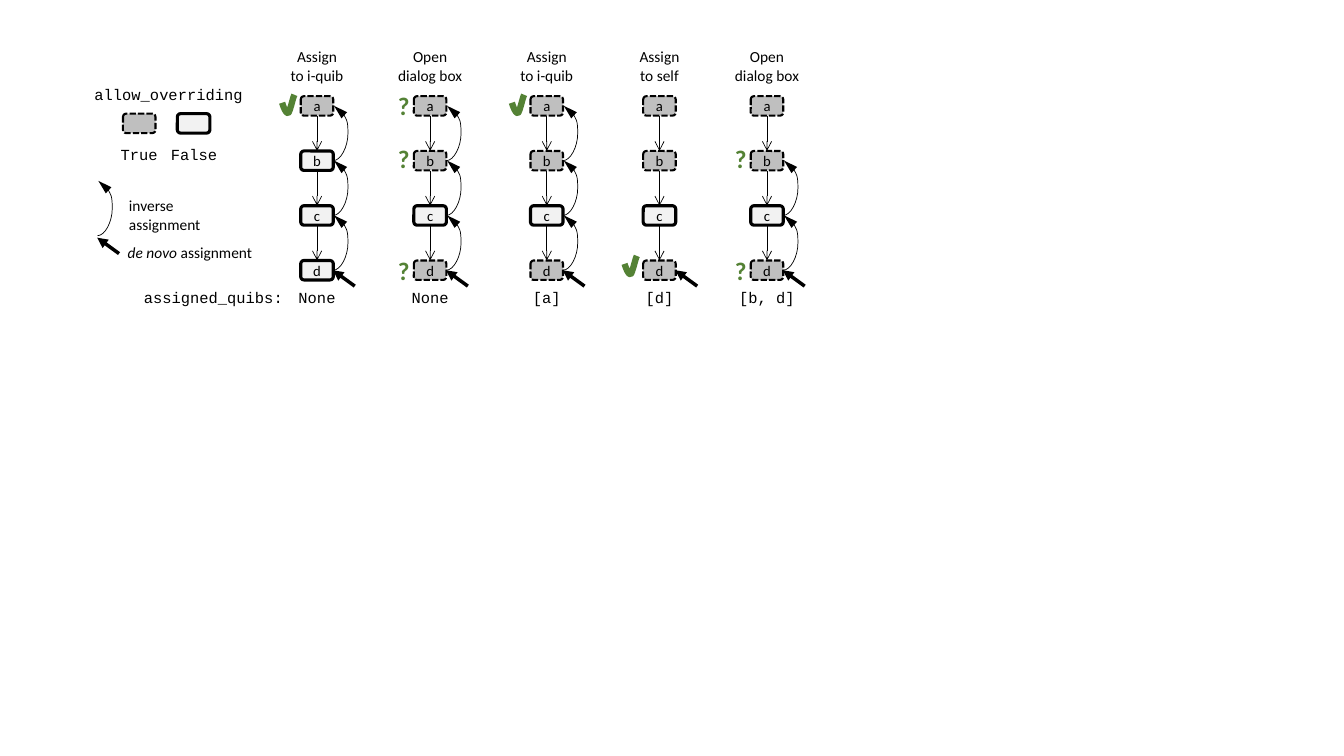
"""Draw five quib chains showing where an assignment ends up, with a legend."""
from pptx import Presentation
from pptx import util as u
from pptx.dml.color import RGBColor
from pptx.enum import dml, shapes, text
from pptx.oxml import parse_xml
from pptx.oxml.ns import nsdecls, qn

Cm, Pt, color = u.Cm, u.Pt, RGBColor.from_string
BLACK, GREEN, GREY, PALE = "000000", "548235", "BFBFBF", "F2F2F2"


def write(lines, x, y, w=2.2, h=0.74, font="Calibri", size=11, fill=BLACK, bold=False,
          align=text.PP_ALIGN.CENTER, lead="", shape=None):
    """Write lines into a shape, or into a new text box at x, y."""
    s = shape or slide.shapes.add_textbox(Cm(x), Cm(y), Cm(w), Cm(h))
    tf = s.text_frame
    tf.word_wrap = shape is not None
    if shape:
        tf.margin_left = tf.margin_right = 0
        tf.vertical_anchor = text.MSO_ANCHOR.MIDDLE
    for i, line in enumerate(lines.split("\n")):
        p = tf.paragraphs[0] if i == 0 else tf.add_paragraph()
        p.alignment = align
        for part in filter(None, (lead, line)):
            r = p.add_run()
            r.text = part
            r.font.name, r.font.size, r.font.bold = font, Pt(size), bold
            r.font.italic = part == lead
            r.font.color.rgb = color(fill)


def arrow(x1, y1, x2, y2, width=0.5, head="triangle", length="med", curved=False):
    """Draw a black arrow, bulging to the right when curved."""
    kind = shapes.MSO_CONNECTOR.CURVE if curved else shapes.MSO_CONNECTOR.STRAIGHT
    s = slide.shapes.add_connector(kind, Cm(x1), Cm(y1), Cm(x2), Cm(y2))
    s.line.color.rgb, s.line.width = color(BLACK), Pt(width)
    spPr = s._element.spPr
    spPr.find(qn("a:ln")).append(
        parse_xml(f'<a:tailEnd {nsdecls("a")} type="{head}" len="{length}"/>'))
    spPr.append(parse_xml(f'<a:effectLst {nsdecls("a")}/>'))
    if curved:
        spPr.find(qn("a:prstGeom")).get_or_add_avLst().append(
            parse_xml(f'<a:gd {nsdecls("a")} name="adj1" fmla="val 1850000"/>'))


prs = Presentation()
prs.slide_width, prs.slide_height = Cm(33.87), Cm(19.05)
slide = prs.slides.add_slide(prs.slide_layouts[6])

rows = [2.67 + 1.38 * i for i in range(4)]
box_w, box_h = 0.82, 0.49
title_w, label_w = 2.4, 4.4
columns = [
    (7.99, "Assign\nto i-quib", "bcd", 0, "None", "check", [2.62]),
    (10.84, "Open\ndialog box", "c", 0, "None", "?", [2.67, 3.99, 6.81]),
    (13.78, "Assign\nto i-quib", "c", 0, "[a]", "check", [2.62]),
    (16.62, "Assign\nto self", "c", 3, "[d]", "check", [6.68]),
    (19.33, "Open\ndialog box", "c", 1, "[b, d]", "?", [3.99, 6.81]),
]
boxes = [(3.51, 3.11, "", False), (4.88, 3.11, "", True)]
labels = [("allow_overriding", 4.25, 2.03), ("True", 3.51, 3.53),
          ("False", 4.89, 3.53), ("assigned_quibs:", 5.38, 7.14)]
curves = [(2.46, 4.56)]
de_novo = [(2.45, 5.99)]
checks = []

for x, title, locked, reached, assigned, mark, mark_ys in columns:
    write(title, x - title_w / 2, 1.07, title_w, 1.19)
    labels.append((assigned, x, 7.14))
    boxes += [(x, y, name, name in locked) for name, y in zip("abcd", rows)]
    curves += [(x + 0.41, y) for y in rows[reached:3]]
    de_novo.append((x + 0.4, rows[3]))
    for y in mark_ys:
        if mark == "?":
            write("?", x - 1.06, y - 0.51, 0.81, 1.02, size=18, fill=GREEN, bold=True,
                  align=text.PP_ALIGN.LEFT)
        else:
            checks.append((x - 0.88, y - 0.23))

for x, y, name, locked in boxes:
    s = slide.shapes.add_shape(shapes.MSO_SHAPE.ROUNDED_RECTANGLE, Cm(x - box_w / 2),
                               Cm(y - box_h / 2), Cm(box_w), Cm(box_h))
    s.shadow.inherit = False
    s.fill.solid()
    s.fill.fore_color.rgb = color(PALE if locked else GREY)
    s.line.color.rgb, s.line.width = color(BLACK), Pt(2.25 if locked else 1.5)
    if not locked:
        s.line.dash_style = dml.MSO_LINE.SQUARE_DOT
    if name:
        write(name, x, y, size=10.5, shape=s)

check_curves = [[(0, 0.2), (0.05, 0.35), (0.1, 0.46), (0.15, 0.46)],
                [(0.15, 0.46), (0.19, 0.46), (0.27, 0.08), (0.31, 0)]]
steps = [i / 8 for i in range(1, 9)]
for x, y in checks:
    points = [tuple(Cm(o + (1 - t) ** 3 * a + 3 * (1 - t) ** 2 * t * b
                       + 3 * (1 - t) * t ** 2 * c + t ** 3 * d)
                    for o, a, b, c, d in zip((x, y), *curve))
              for curve in check_curves for t in steps]
    outline = slide.shapes.build_freeform(Cm(x), Cm(y + 0.2))
    outline.add_line_segments(points, close=False)
    s = outline.convert_to_shape()
    s.shadow.inherit = False
    s.fill.background()
    s.line.color.rgb, s.line.width = color(GREEN), Pt(4.5)

for column in columns:
    for upper, lower in zip(rows, rows[1:]):
        arrow(column[0], upper + 0.25, column[0], lower - 0.25, head="arrow")
for x, y in curves:
    arrow(x, y + 1.38, x + 0.02, y, length="lg", curved=True)
for x, y in de_novo:
    arrow(x + 0.55, y + 0.4, x, y, width=2.5)

for label, x, y in labels:
    write(label, x - label_w / 2, y, label_w, font="Courier New")
write("inverse\nassignment", 3, 4.83, 2.31, 1.19, align=text.PP_ALIGN.LEFT)
write("assignment", 2.97, 5.99, 3.66, align=text.PP_ALIGN.LEFT, lead="de novo ")

prs.save("out.pptx")
